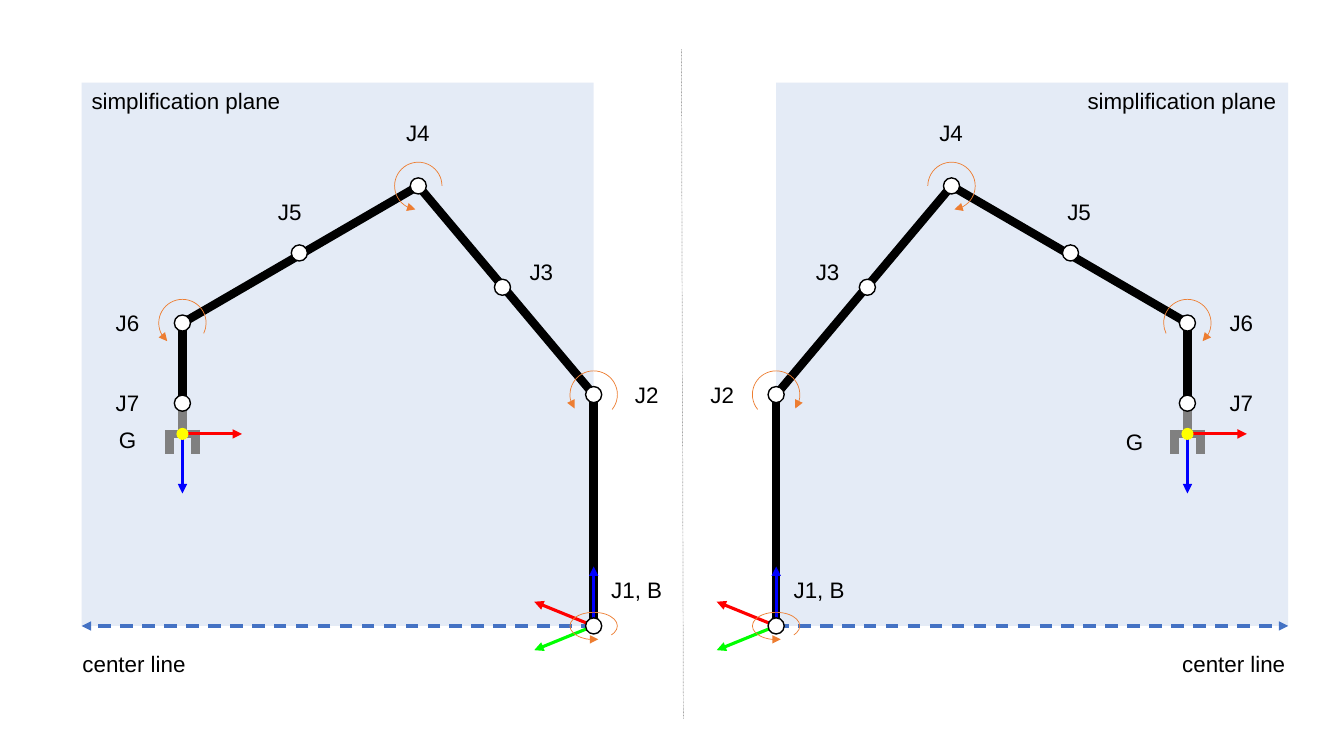
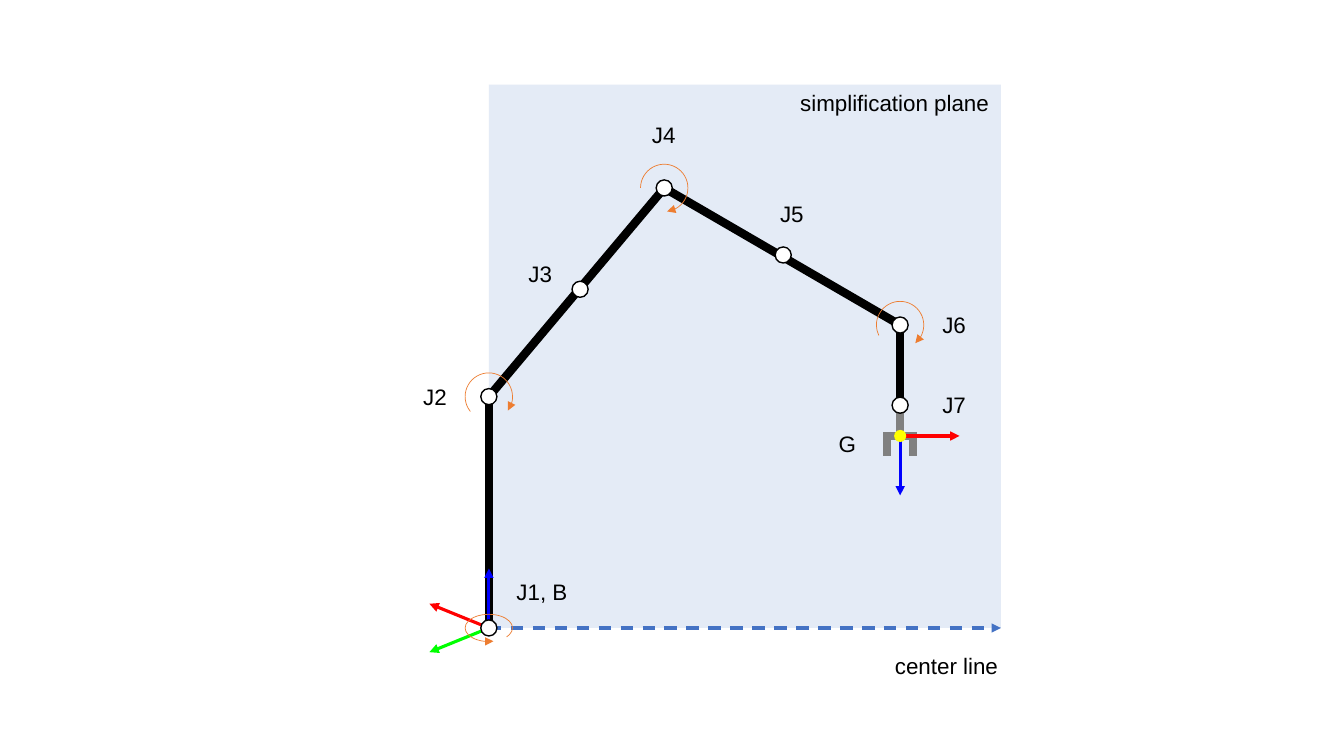
"""Draw the simplified robot arm, mirrored as a pair and then alone."""
from dataclasses import dataclass

from lxml.etree import SubElement
from pptx import Presentation
from pptx.dml.color import RGBColor
from pptx.enum.dml import MSO_LINE
from pptx.enum.shapes import MSO_CONNECTOR, MSO_SHAPE
from pptx.enum.text import MSO_AUTO_SIZE
from pptx.oxml.ns import qn
from pptx.util import Inches, Pt

COLORS = {
    "plane": "4472C4", "link": "000000", "joint": "FFFFFF", "turn": "ED7D31",
    "gripper": "808080", "tool": "FFFF00", "x": "FF0000", "y": "00FF00",
    "z": "0000FF", "divider": "A5A5A5", "text": "000000",
}
FONT, TEXT_SIZE = "Arial", 16
CELL = Inches(0.1)
COLUMNS, ROWS = 133.33, 75
PLANE_WIDTH, PLANE_HEIGHT = 50.8, 53.9
JOINT, TOOL, TURN, BASE_TURN_HEIGHT = 1.6, 1.2, 4.7, 2.7
AXIS, AXIS_SLANT = 5.9, 2.4
BAR, FINGER, FINGER_TOP, FINGER_TIP = 1.7, 1.3, -0.4, 2
LABEL_HEIGHT = 3.7


@dataclass(frozen=True)
class Point:
    x: float
    y: float

    def shifted(self, dx: float, dy: float):
        return Point(self.x + dx, self.y + dy)


@dataclass(frozen=True)
class Arm:
    base: Point
    side: int
    base_label: float
    tool_label: Point

    def at(self, reach: float, rise: float) -> Point:
        return self.base.shifted(self.side * reach, -rise)


@dataclass(frozen=True)
class Turn:
    joint: str
    start: float
    end: float


@dataclass(frozen=True)
class Label:
    text: str
    reach: float
    rise: float
    width: float = 4.4


JOINTS = {
    "J2": (0, 22.95), "J3": (9.05, 33.6), "J4": (17.4, 43.65),
    "J5": (29.2, 37), "J6": (40.8, 30.05), "J7": (40.8, 22.1),
}
GRIP = (40.8, 19.05)
LINKS = [(0, 0), JOINTS["J2"], JOINTS["J4"], JOINTS["J6"], JOINTS["J7"]]
TURNS = [Turn("J2", 144, 39), Turn("J6", 130, 26), Turn("J4", 97, 0)]
LABELS = [
    Label("J2", -5.3, 22.95), Label("J3", 5.15, 35.15),
    Label("J4", 17.4, 48.95), Label("J5", 30.1, 41.05),
    Label("J6", 46.2, 30.05), Label("J7", 46.2, 22.15),
    Label("simplification plane", 40.35, 52.05, 20.9),
    Label("center line", 45.5, -3.75, 12.4),
]
LEFT_ARM = Arm(Point(58.9, 62.1), -1, 4.3, Point(46.2, 18.45))
RIGHT_ARM = Arm(Point(77, 62.1), 1, 4.3, Point(35.6, 18.25))
SINGLE_ARM = Arm(Point(48.5, 62.3), 1, 5.3, Point(35.6, 18.25))


def cells(*counts: float) -> list[int]:
    return [round(count * CELL) for count in counts]


def color(name: str) -> RGBColor:
    return RGBColor.from_string(COLORS[name])


def add_arrowhead(line_shape, end: str) -> None:
    outline = line_shape.line._get_or_add_ln()
    SubElement(outline, qn(f"a:{end}")).set("type", "triangle")


def add_line(slide, start: Point, end: Point, name: str, width: float,
             dash=None, arrow: bool = False) -> None:
    segment = slide.shapes.add_connector(
        MSO_CONNECTOR.STRAIGHT, *cells(start.x, start.y, end.x, end.y))
    segment.line.color.rgb = color(name)
    segment.line.width = Pt(width)
    if dash:
        segment.line.dash_style = dash
    if arrow:
        add_arrowhead(segment, "tailEnd")
    SubElement(segment.element.spPr, qn("a:effectLst"))


def add_centered(slide, kind, center: Point, width: float, height: float):
    shape = slide.shapes.add_shape(kind, *cells(
        center.x - width / 2, center.y - height / 2, width, height))
    shape.shadow.inherit = False
    return shape


def add_dot(slide, center: Point, size: float, name: str, outlined: bool) -> None:
    dot = add_centered(slide, MSO_SHAPE.OVAL, center, size, size)
    dot.fill.solid()
    dot.fill.fore_color.rgb = color(name)
    if outlined:
        dot.line.color.rgb = color("link")
        dot.line.width = Pt(1)
    else:
        dot.line.fill.background()


def add_turn(slide, center: Point, height: float, start: float, end: float,
             mirrored: bool) -> None:
    arc = add_centered(slide, MSO_SHAPE.ARC, center, TURN, height)
    for index, degrees in enumerate((start, end)):
        arc.adjustments[index] = degrees * 0.6
    arc.fill.background()
    arc.line.color.rgb = color("turn")
    arc.line.width = Pt(0.5)
    add_arrowhead(arc, "headEnd")
    if mirrored:
        arc.element.spPr.find(qn("a:xfrm")).set("flipH", "1")


def add_label(slide, text: str, center: Point, width: float) -> None:
    label = slide.shapes.add_textbox(*cells(
        center.x - width / 2, center.y - LABEL_HEIGHT / 2, width, LABEL_HEIGHT))
    frame = label.text_frame
    frame.word_wrap = False
    frame.auto_size = MSO_AUTO_SIZE.SHAPE_TO_FIT_TEXT
    frame.text = text
    font = frame.paragraphs[0].font
    font.name, font.size = FONT, Pt(TEXT_SIZE)
    font.color.rgb = color("text")


def draw_plane(slide, arm: Arm) -> None:
    plane = add_centered(slide, MSO_SHAPE.RECTANGLE,
                         arm.at(PLANE_WIDTH / 2, PLANE_HEIGHT / 2),
                         PLANE_WIDTH, PLANE_HEIGHT)
    plane.fill.solid()
    plane.fill.fore_color.rgb = color("plane")
    tint = plane.element.spPr.find(qn("a:solidFill"))[0]
    SubElement(tint, qn("a:alpha")).set("val", "14000")
    plane.line.fill.background()
    add_line(slide, arm.base, arm.at(PLANE_WIDTH, 0), "plane", 2.25,
             dash=MSO_LINE.DASH, arrow=True)


def draw_gripper(slide, wrist: Point, grip: Point) -> None:
    strokes = [(wrist, grip), (grip.shifted(-BAR, 0), grip.shifted(BAR, 0))]
    strokes += [(grip.shifted(dx, FINGER_TOP), grip.shifted(dx, FINGER_TIP))
                for dx in (-FINGER, FINGER)]
    for start, end in strokes:
        add_line(slide, start, end, "gripper", 6)


def draw_axes(slide, origin: Point, axes: dict[str, tuple[float, float]]) -> None:
    for name, offset in axes.items():
        add_line(slide, origin, origin.shifted(*offset), name, 2.25, arrow=True)


def draw_arm(slide, arm: Arm) -> None:
    grip = arm.at(*GRIP)
    draw_plane(slide, arm)
    for start, end in zip(LINKS, LINKS[1:]):
        add_line(slide, arm.at(*start), arm.at(*end), "link", 6)
    draw_gripper(slide, arm.at(*JOINTS["J7"]), grip)
    for position in JOINTS.values():
        add_dot(slide, arm.at(*position), JOINT, "joint", outlined=True)
    for turn in TURNS:
        add_turn(slide, arm.at(*JOINTS[turn.joint]), TURN, turn.start, turn.end,
                 mirrored=arm.side > 0)
    draw_axes(slide, grip, {"z": (0, AXIS), "x": (AXIS, 0)})
    add_dot(slide, grip, TOOL, "tool", outlined=False)
    draw_axes(slide, arm.base, {"x": (-AXIS, -AXIS_SLANT), "z": (0, -AXIS),
                                "y": (-AXIS, AXIS_SLANT)})
    add_dot(slide, arm.base, JOINT, "joint", outlined=True)
    add_turn(slide, arm.base, BASE_TURN_HEIGHT, 71, 27, mirrored=False)
    for label in LABELS:
        add_label(slide, label.text, arm.at(label.reach, label.rise), label.width)
    add_label(slide, "J1, B", arm.base.shifted(arm.base_label, -3.55), 7.1)
    add_label(slide, "G", arm.at(arm.tool_label.x, arm.tool_label.y), 3.8)


def main() -> None:
    deck = Presentation()
    deck.slide_width, deck.slide_height = cells(COLUMNS, ROWS)
    blank = deck.slide_layouts[6]
    pair = deck.slides.add_slide(blank)
    for arm in (LEFT_ARM, RIGHT_ARM):
        draw_arm(pair, arm)
    add_line(pair, Point(67.6, 4.9), Point(67.8, 71.3), "divider", 0.5,
             dash=MSO_LINE.ROUND_DOT)
    draw_arm(deck.slides.add_slide(blank), SINGLE_ARM)
    deck.save("out.pptx")


if __name__ == "__main__":
    main()
